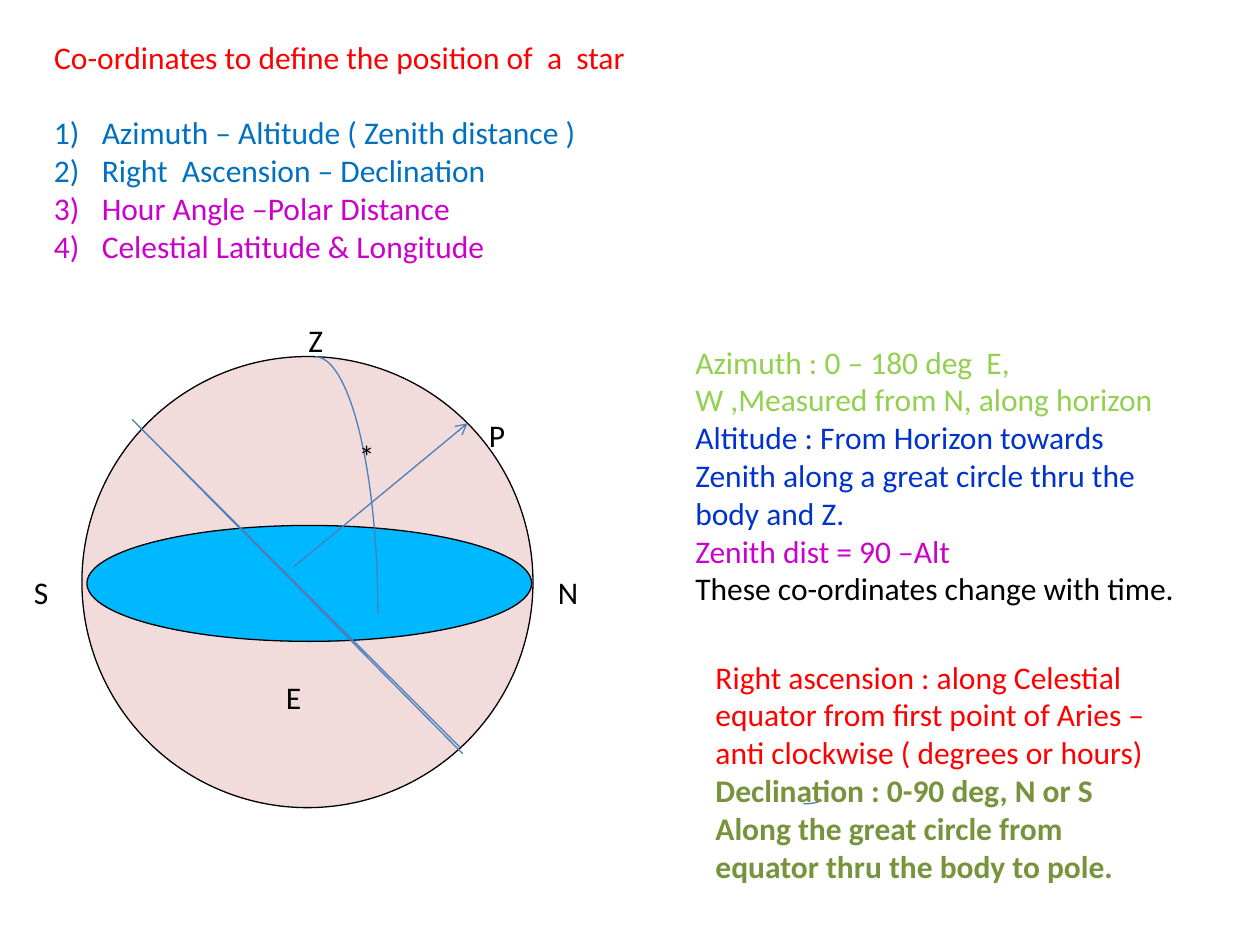
from dataclasses import dataclass

from lxml.etree import SubElement
from pptx import Presentation
from pptx.dml.color import RGBColor
from pptx.enum.shapes import MSO_CONNECTOR, MSO_SHAPE
from pptx.enum.text import MSO_ANCHOR, MSO_AUTO_SIZE, PP_ALIGN
from pptx.oxml.ns import qn
from pptx.util import Inches, Pt


@dataclass(frozen=True)
class Theme:
    font: str = "Calibri"
    size: float = 18
    outline: float = 0.75
    black: str = "000000"
    red: str = "FF0000"
    blue: str = "0070C0"
    navy: str = "0033CC"
    magenta: str = "CC00CC"
    lime: str = "92D050"
    olive: str = "77933C"
    sphere: str = "F2DCDB"
    horizon: str = "00B8FF"
    stroke: str = "4B7EBC"


class SlideBuilder:
    def __init__(self, page, theme):
        self.page = page
        self.theme = theme

    def style_line(self, line, color):
        line.color.rgb = RGBColor.from_string(color)
        line.width = Pt(self.theme.outline)

    def add_span(self, para, text, color, bold=False):
        span = para.add_run()
        span.text = text
        span.font.name = self.theme.font
        span.font.size = Pt(self.theme.size)
        span.font.bold = bold
        span.font.color.rgb = RGBColor.from_string(color)

    def prepare_frame(self, frame):
        frame.word_wrap = True
        frame.auto_size = MSO_AUTO_SIZE.NONE
        frame.vertical_anchor = MSO_ANCHOR.TOP

    def title(self, text, color, left, top, width, height):
        box = self.page.shapes.title
        box.left, box.top = Inches(left), Inches(top)
        box.width, box.height = Inches(width), Inches(height)
        self.prepare_frame(box.text_frame)
        para = box.text_frame.paragraphs[0]
        para.alignment = PP_ALIGN.LEFT
        self.add_span(para, text, color)

    def text(self, entries, left, top, width, height, align=PP_ALIGN.LEFT, inset=0.1):
        box = self.page.shapes.add_textbox(
            Inches(left), Inches(top), Inches(width), Inches(height)
        )
        frame = box.text_frame
        self.prepare_frame(frame)
        frame.margin_left = frame.margin_right = Inches(inset)
        for index, (lines, color, bold) in enumerate(entries):
            para = frame.add_paragraph() if index else frame.paragraphs[0]
            para.alignment = align
            for number, line in enumerate(lines.split("\n")):
                if number:
                    para.add_line_break()
                self.add_span(para, line, color, bold)
        return box

    def numbered_list(self, entries, left, top, width, height):
        box = self.text(entries, left, top, width, height)
        for para in box.text_frame.paragraphs:
            properties = para._p.get_or_add_pPr()
            properties.set("marL", str(Inches(0.38)))
            properties.set("indent", str(-Inches(0.38)))
            SubElement(properties, qn("a:buFont"), typeface="+mj-lt")
            SubElement(properties, qn("a:buAutoNum"), type="arabicParenR")

    def label(self, text, left, top, width, align=PP_ALIGN.LEFT, inset=0.1):
        self.text([(text, self.theme.black, False)], left, top, width, 0.4, align, inset)

    def ellipse(self, fill, left, top, width, height):
        shape = self.page.shapes.add_shape(
            MSO_SHAPE.OVAL, Inches(left), Inches(top), Inches(width), Inches(height)
        )
        shape.shadow.inherit = False
        shape.fill.solid()
        shape.fill.fore_color.rgb = RGBColor.from_string(fill)
        self.style_line(shape.line, self.theme.black)

    def arc(self, left, top, width, height, lower=False):
        shape = self.page.shapes.add_shape(
            MSO_SHAPE.ARC, Inches(left), Inches(top), Inches(width), Inches(height)
        )
        shape.shadow.inherit = False
        shape.fill.background()
        self.style_line(shape.line, self.theme.stroke)
        if lower:
            shape.adjustments[0] = 0
            shape.adjustments[1] = 54

    def arrow(self, start, end):
        connector = self.page.shapes.add_connector(
            MSO_CONNECTOR.STRAIGHT, *map(Inches, start + end)
        )
        self.style_line(connector.line, self.theme.stroke)
        SubElement(connector.line._get_or_add_ln(), qn("a:tailEnd"), type="arrow")
        SubElement(connector._element.spPr, qn("a:effectLst"))

    def polyline(self, points):
        start, *rest = [(Inches(x), Inches(y)) for x, y in points]
        builder = self.page.shapes.build_freeform(*start)
        builder.add_line_segments(rest, close=False)
        shape = builder.convert_to_shape()
        shape.shadow.inherit = False
        shape.fill.background()
        self.style_line(shape.line, self.theme.stroke)


def main():
    deck = Presentation()
    deck.slide_width, deck.slide_height = Inches(10), Inches(7.5)
    theme = Theme()
    slide = SlideBuilder(deck.slides.add_slide(deck.slide_layouts[5]), theme)

    slide.title(
        "Co-ordinates to define the position of  a  star", theme.red, 0.33, 0.25, 7.17, 0.4
    )
    slide.numbered_list(
        [
            ("Azimuth – Altitude ( Zenith distance )", theme.blue, False),
            ("Right  Ascension – Declination", theme.blue, False),
            ("Hour Angle –Polar Distance", theme.magenta, False),
            ("Celestial Latitude & Longitude", theme.magenta, False),
        ],
        0.33, 0.85, 7.17, 1.32,
    )

    slide.ellipse(theme.sphere, 0.65, 2.83, 3.58, 3.58)
    slide.ellipse(theme.horizon, 0.69, 4.17, 3.53, 0.92)
    slide.arrow((2.33, 4.5), (3.71, 3.36))
    slide.label("P", 3.83, 3.25, 0.17, inset=0.05)
    slide.polyline([(1.15, 3.43), (3.67, 5.98), (1.05, 3.33), (3.65, 5.93)])

    slide.text(
        [
            ("Azimuth : 0 – 180 deg  E,\nW ,Measured from N, along horizon", theme.lime, False),
            (
                "Altitude : From Horizon towards  Zenith along a great circle "
                "thru the body and Z.",
                theme.navy,
                False,
            ),
            ("Zenith dist = 90 –Alt", theme.magenta, False),
            ("These co-ordinates change with time.", theme.black, False),
        ],
        5.42, 2.67, 4.08, 2.22,
    )

    slide.label("S", 0.17, 4.5, 0.33)
    slide.label("N", 4.33, 4.5, 0.33)
    slide.label("E", 2.17, 5.33, 0.42)
    slide.label("Z", 2.17, 2.5, 0.67, PP_ALIGN.CENTER)
    slide.arc(6.25, 6.33, 0.25, 0.05, lower=True)
    slide.arc(2, 2.83, 1, 4.08)
    slide.label("*", 2.75, 3.42, 0.25)

    slide.text(
        [
            (
                "Right ascension : along Celestial equator from first point of Aries – "
                "anti clockwise ( degrees or hours)",
                theme.red,
                False,
            ),
            ("Declination : 0-90 deg, N or S", theme.olive, True),
            ("Along the great circle from equator thru the body to pole.", theme.olive, True),
        ],
        5.58, 5.17, 3.75, 1.92,
    )

    deck.save("out.pptx")


if __name__ == "__main__":
    main()
